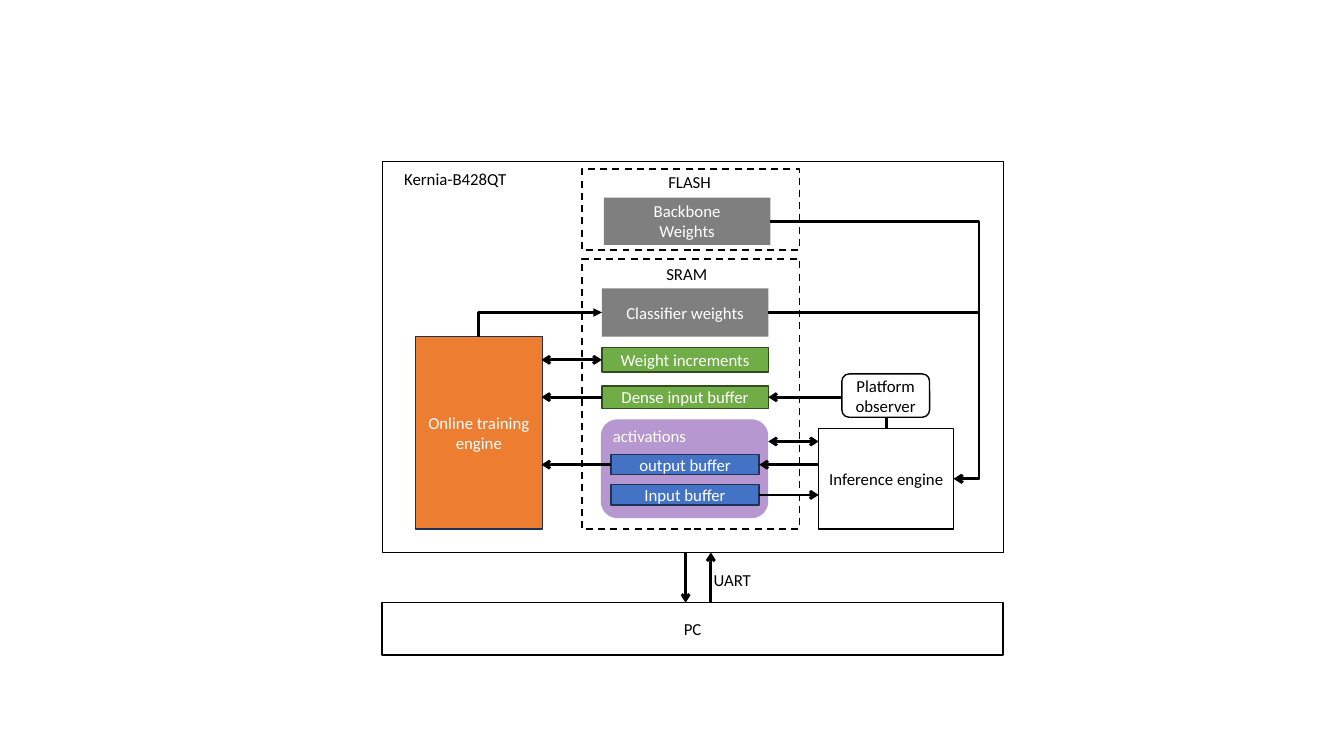
from lxml import etree
from pptx import Presentation, util as u
from pptx.dml import color
from pptx.enum import dml, shapes, text
from pptx.oxml import ns

PX = 9144
BLACK, WHITE = "000000", "FFFFFF"
GREEN, BLUE, ORANGE, PURPLE = "70AD47", "4472C4", "ED7D31", "7030A0"
DARK_GREEN, NAVY = "314C1F", "1E3256"
RECT = shapes.MSO_SHAPE.RECTANGLE
ROUND = shapes.MSO_SHAPE.ROUNDED_RECTANGLE


def emu(*lengths):
    return [u.Emu(n * PX) for n in lengths]


def rgb(value):
    return color.RGBColor.from_string(value)


def sub(parent, tag, **attrs):
    return etree.SubElement(parent, ns.qn(tag), **attrs)


def write(tf, label, font_color, align=None):
    for i, line in enumerate(label.split("\n")):
        p = tf.paragraphs[0] if i == 0 else tf.add_paragraph()
        p.alignment = align
        r = p.add_run()
        r.text = line
        r.font.size = u.Pt(12)
        r.font.name = "Calibri"
        r.font.color.rgb = rgb(font_color)


def box(parent, at, label="", fill=None, line=None, width=1, ink=WHITE,
        kind=RECT, alpha=None, dashed=False):
    sp = parent.add_shape(kind, *emu(*at))
    sp.shadow.inherit = False
    if fill:
        sp.fill.solid()
        sp.fill.fore_color.rgb = rgb(fill)
        if alpha:
            clr = sp._element.spPr.find(ns.qn("a:solidFill"))[0]
            sub(clr, "a:alpha", val=str(alpha * 1000))
    else:
        sp.fill.background()
    if line:
        sp.line.color.rgb = rgb(line)
        sp.line.width = u.Pt(width)
        if dashed:
            sp.line.dash_style = dml.MSO_LINE.DASH
    else:
        sp.line.fill.background()
    if label:
        tf = sp.text_frame
        tf.word_wrap = True
        tf.vertical_anchor = text.MSO_ANCHOR.MIDDLE
        write(tf, label, ink, text.PP_ALIGN.CENTER)
    return sp


def caption(parent, at, label, ink=BLACK, wrap=False):
    tf = parent.add_textbox(*emu(*at)).text_frame
    tf.word_wrap = wrap
    tf.auto_size = text.MSO_AUTO_SIZE.SHAPE_TO_FIT_TEXT
    write(tf, label, ink)


def link(parent, ends, head=None, tail=None, start=None, stop=None,
         bend=None, adj=None):
    kind = shapes.MSO_CONNECTOR.ELBOW if bend else shapes.MSO_CONNECTOR.STRAIGHT
    c = parent.add_connector(kind, *emu(*ends))
    if start:
        c.begin_connect(*start)
    if stop:
        c.end_connect(*stop)
    c.line.color.rgb = rgb(BLACK)
    c.line.width = u.Pt(2)
    ln = c.line._get_or_add_ln()
    for tag, arrow in (("a:headEnd", head), ("a:tailEnd", tail)):
        if arrow:
            sub(ln, tag, type=arrow)
    spPr = c._element.spPr
    sub(spPr, "a:effectLst")
    if bend:
        geom = spPr.find(ns.qn("a:prstGeom"))
        geom.set("prst", bend)
        if adj:
            guides = geom.find(ns.qn("a:avLst"))
            sub(guides, "a:gd", name="adj1", fmla=f"val {adj}")


def main():
    prs = Presentation()
    prs.slide_width, prs.slide_height = emu(1333, 750)
    s = prs.slides.add_slide(prs.slide_layouts[6]).shapes

    box(s, (379, 598, 616, 52), "PC", WHITE, BLACK, ink=BLACK)
    box(s, (379, 160, 616, 388), line=BLACK, width=0.75)
    caption(s, (391, 162, 125, 30), "Kernia-B428QT")
    box(s, (599, 196, 165, 47), "Backbone\nWeights", BLACK, alpha=50)
    caption(s, (653, 165, 63, 30), "FLASH")
    caption(s, (651, 257, 61, 30), "SRAM", wrap=True)
    for top, height in ((168, 80), (257, 268)):
        box(s, (577, top, 216, height), line=BLACK, width=1.25, dashed=True)
    box(s, (597, 286, 165, 48), "Classifier weights", BLACK, alpha=50)

    activations = s.add_group_shape().shapes
    box(activations, (596, 416, 166, 98), fill=PURPLE, kind=ROUND, alpha=50)
    caption(activations, (598, 417, 94, 26), "activations", WHITE)
    inputs, outputs = [
        box(activations, (606, top, 147, 20), label, BLUE, NAVY)
        for top, label in ((481, "Input buffer"), (451, "output buffer"))]
    increments, dense = [
        box(s, (597, top, 165, height), label, GREEN, DARK_GREEN)
        for top, height, label in ((345, 24, "Weight increments"),
                                   (383, 22, "Dense input buffer"))]
    box(s, (812, 425, 134, 100), "Inference engine", WHITE, BLACK, ink=BLACK)
    box(s, (412, 334, 126, 191), "Online training engine", ORANGE, NAVY)

    link(s, (753, 491, 812, 491), tail="arrow", start=(inputs, 3))
    link(s, (762, 394, 879, 425), head="arrow", bend="bentConnector2")
    box(s, (835, 371, 87, 43), "Platform observer", WHITE, BLACK, ink=BLACK,
        kind=ROUND)
    link(s, (812, 461, 753, 461), tail="arrow", stop=(outputs, 3))
    link(s, (606, 461, 537, 461), tail="arrow", start=(outputs, 1))
    link(s, (597, 394, 537, 394), tail="arrow", start=(dense, 1))
    link(s, (597, 357, 537, 357), "arrow", "arrow", start=(increments, 1))
    for x, y in ((762, 310), (764, 220)):
        link(s, (x, y, 946, 475), tail="arrow", bend="bentConnector3",
             adj=(971 - x) * 100000 // (946 - x))
    link(s, (597, 310, 475, 334), head="triangle", bend="bentConnector2")
    link(s, (680, 548, 680, 598), tail="arrow")
    link(s, (705, 598, 705, 548), tail="arrow")
    caption(s, (698, 560, 58, 30), "UART")
    link(s, (812, 438, 762, 438), "arrow", "arrow")

    prs.save("out.pptx")


if __name__ == "__main__":
    main()
